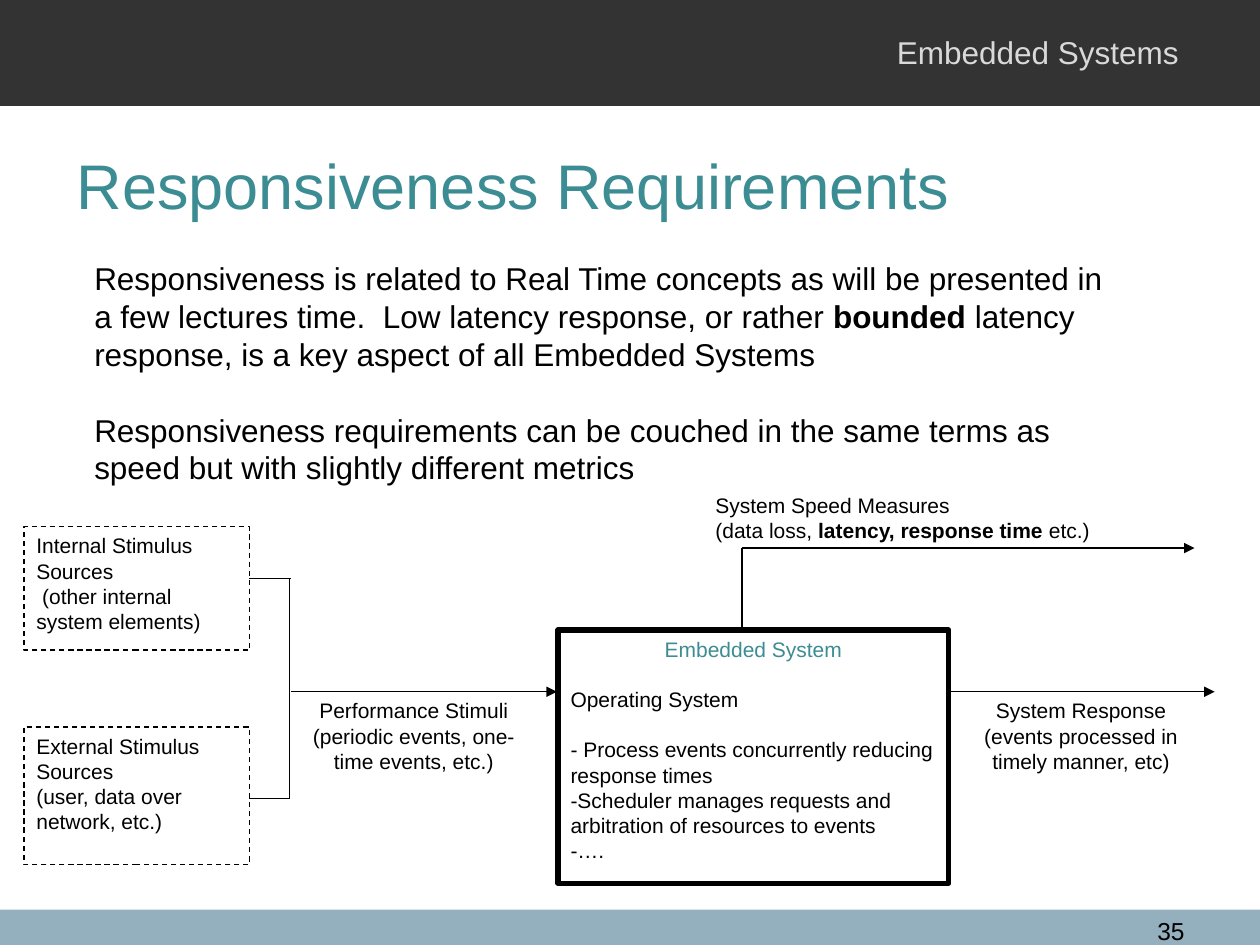
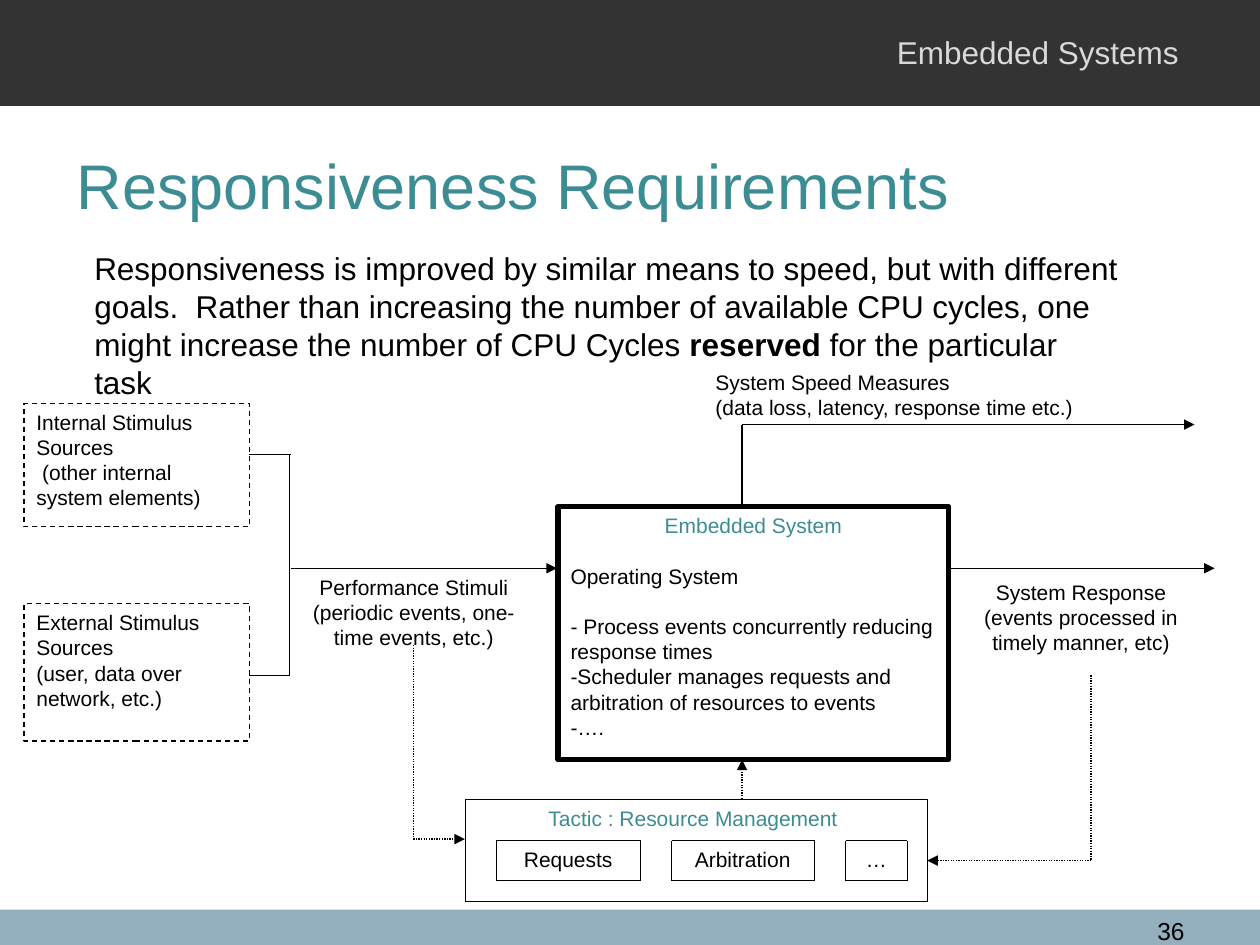
from lxml.etree import SubElement
from pptx import Presentation
from pptx.dml.color import RGBColor
from pptx.enum.dml import MSO_LINE
from pptx.enum.shapes import MSO_CONNECTOR, MSO_SHAPE
from pptx.enum.text import MSO_ANCHOR, PP_ALIGN
from pptx.oxml.ns import qn
from pptx.util import Inches, Pt

# Shared style
FONT = "Arial"
BLACK, WHITE, TEAL = "000000", "FFFFFF", "3C8C93"
DARK, PALE, BLUE = "333333", "D9D9D9", "94B0BE"
LEFT, MID, RIGHT = PP_ALIGN.LEFT, PP_ALIGN.CENTER, PP_ALIGN.RIGHT
DASH, DOTS = MSO_LINE.DASH, MSO_LINE.ROUND_DOT
LEAD = 1.2

# Content: **bold** marks strong words, "" leaves one line of space
TITLE = "Responsiveness Requirements"
SLIDES = [
    {
        "page": "35",
        "body": [
            "Responsiveness is related to Real Time concepts as will be presented in a few "
            "lectures time.  Low latency response, or rather **bounded** latency response, "
            "is a key aspect of all Embedded Systems",
            "",
            "Responsiveness requirements can be couched in the same terms as speed but with "
            "slightly different metrics",
        ],
        "place": (0.65, 2.01, 8.36, 1.92),
        "top": 3.86,
        "speed": "(data loss, **latency, response time **etc.)",
        "drop": 0,
        "tactic": [],
    },
    {
        "page": "36",
        "body": [
            "Responsiveness is improved by similar means to speed, but with different goals.  "
            "Rather than increasing the number of available CPU cycles, one might increase "
            "the number of CPU Cycles **reserved** for the particular task",
        ],
        "place": (0.65, 1.93, 8.36, 1.31),
        "top": 2.88,
        "speed": "(data loss, latency, response time etc.)",
        "drop": 0.04,
        "tactic": [("Requests", 3.94, 1.14), ("Arbitration", 5.33, 1.13), ("…", 6.71, 0.49)],
    },
]

# Diagram parts, with heights measured from the top of the diagram
SOURCES = [
    ((0.19, 0.32, 1.79, 0.98),
     ["Internal Stimulus Sources", " (other internal system elements)"]),
    ((0.19, 1.91, 1.79, 1.09),
     ["External Stimulus Sources", "(user, data over network, etc.)"]),
]
STIMULI = ["Performance Stimuli", "(periodic events, one-time events, etc.)"]
REPLY = ["System Response", "(events processed in timely manner, etc)"]
SYSTEM = [
    "Embedded System", "", "Operating System", "",
    "- Process events concurrently reducing response times",
    "-Scheduler manages requests and arbitration of resources to events",
    "-….",
]
FLOWS = [  # start, end, arrowhead
    ((1.98, 0.73), (2.31, 0.73), False),
    ((1.98, 2.48), (2.3, 2.48), False),
    ((2.3, 0.73), (2.3, 2.48), False),
    ((2.31, 1.63), (4.42, 1.63), True),
    ((7.52, 1.63), (9.64, 1.63), True),
    ((5.89, 1.14), (5.89, 0.49), False),
    ((5.89, 0.49), (9.48, 0.49), True),
]
TACTIC_FLOWS = [  # measured from the top of the slide
    ((5.89, 6.34), (5.89, 6.03), True),
    ((8.66, 5.36), (8.66, 6.83), False),
    ((8.66, 6.83), (7.36, 6.83), True),
    ((3.28, 5.12), (3.28, 6.66), False),
    ((3.28, 6.66), (3.69, 6.66), True),
]


def rgb(code):
    return RGBColor.from_string(code)


def style(font, size, color):
    font.name, font.size = FONT, Pt(size)
    font.color.rgb = rgb(color)


def write(shape, lines, size=12, color=BLACK, align=LEFT):
    frame = shape.text_frame
    frame.word_wrap = True
    frame.vertical_anchor = MSO_ANCHOR.TOP
    gap, para = 0, None
    for line in lines:
        if not line:
            gap += size * LEAD
            continue
        para = frame.paragraphs[0] if para is None else frame.add_paragraph()
        para.alignment = align
        para.line_spacing = Pt(size * LEAD)
        if gap:
            para.space_before = Pt(gap)
        gap = 0
        for i, part in enumerate(line.split("**")):
            if part:
                run = para.add_run()
                run.text = part
                style(run.font, size, color)
                if i % 2:
                    run.font.bold = True


def label(slide, place, lines, **look):
    box = slide.shapes.add_textbox(*map(Inches, place))
    write(box, lines, **look)


def rect(slide, place, fill=WHITE, width=0, dash=None):
    box = slide.shapes.add_shape(MSO_SHAPE.RECTANGLE, *map(Inches, place))
    box.shadow.inherit = False
    box.fill.solid()
    box.fill.fore_color.rgb = rgb(fill)
    if width:
        stroke(box.line, width, dash)
    else:
        box.line.fill.background()
    return box


def stroke(line, width, dash):
    line.color.rgb = rgb(BLACK)
    line.width = Pt(width)
    if dash:
        line.dash_style = dash


def link(slide, start, end, head, top=0, dash=None):
    (x1, y1), (x2, y2) = start, end
    ends = map(Inches, (x1, top + y1, x2, top + y2))
    wire = slide.shapes.add_connector(MSO_CONNECTOR.STRAIGHT, *ends)
    stroke(wire.line, 0.75, dash)
    if head:
        SubElement(wire.line._get_or_add_ln(), qn("a:tailEnd"), type="triangle")
    SubElement(wire._element.spPr, qn("a:effectLst"))


def frame(slide, page):
    # Bands, course name, title and page number
    rect(slide, (0, 7.22, 10, 0.28), BLUE)
    rect(slide, (0, 0, 10, 0.84), DARK)
    label(slide, (7.02, 0.21, 2.5, 0.4), ["Embedded Systems"], size=18, color=PALE)
    title = slide.shapes.title
    title.left, title.top, title.width, title.height = map(Inches, (0.51, 0.84, 9, 1.25))
    title.text_frame.text = TITLE
    title.text_frame.vertical_anchor = MSO_ANCHOR.MIDDLE
    para = title.text_frame.paragraphs[0]
    para.alignment = LEFT
    style(para.runs[0].font, 36, TEAL)
    label(slide, (8.86, 7.22, 0.64, 0.24), [page], size=14, align=RIGHT)


def diagram(slide, top, speed, drop):
    for (x, y, w, h), lines in SOURCES:
        write(rect(slide, (x, top + y, w, h), width=0.75, dash=DASH), lines)
    for start, end, head in FLOWS:
        link(slide, start, end, head, top)
    system = rect(slide, (4.43, top + 1.14, 3.1, 2.01), width=3)
    write(system, SYSTEM)
    name = system.text_frame.paragraphs[0]
    name.alignment = MID
    name.runs[0].font.color.rgb = rgb(TEAL)
    label(slide, (2.31, top + 1.63, 1.95, 0.49), STIMULI, align=MID)
    label(slide, (7.52, top + 1.63 + drop, 2.12, 0.49), REPLY, align=MID)
    label(slide, (5.58, top, 4.22, 0.49), ["System Speed Measures", speed])


def tactic(slide, parts):
    panel = rect(slide, (3.69, 6.34, 3.67, 0.81), width=0.25, dash=DOTS)
    write(panel, ["Tactic : Resource Management "], color=TEAL, align=MID)
    for name, x, w in parts:
        write(rect(slide, (x, 6.67, w, 0.32), width=0.25, dash=DOTS), [name], align=MID)
    for start, end, head in TACTIC_FLOWS:
        link(slide, start, end, head, dash=DOTS)


def main():
    prs = Presentation()
    prs.slide_width, prs.slide_height = Inches(10), Inches(7.5)
    for data in SLIDES:
        slide = prs.slides.add_slide(prs.slide_layouts[5])
        frame(slide, data["page"])
        diagram(slide, data["top"], data["speed"], data["drop"])
        if data["tactic"]:
            tactic(slide, data["tactic"])
        label(slide, data["place"], data["body"], size=18)
    prs.save("out.pptx")


if __name__ == "__main__":
    main()
